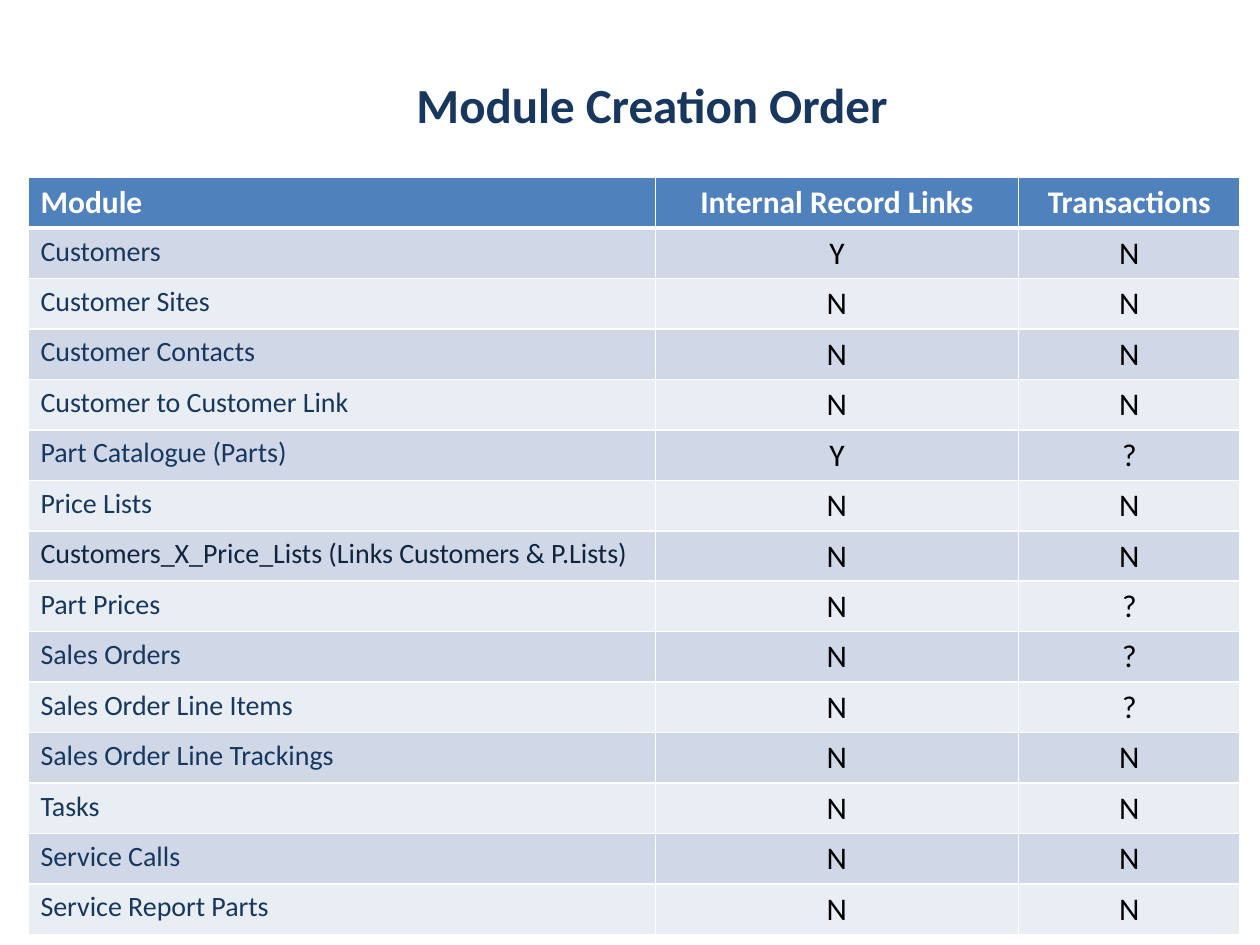
from lxml import etree
from pptx import Presentation
from pptx import util as u
from pptx.dml.color import RGBColor
from pptx.enum import text
from pptx.oxml import ns

COLORS = {
    "navy": "17375E",
    "dark_navy": "0F243E",
    "header": "4F81BD",
    "odd_band": "D0D8E8",
    "even_band": "E9EDF4",
    "white": "FFFFFF",
    "black": "000000",
}

HEADINGS = ("Module", "Internal Record Links", "Transactions")
LINK_MODULE = "Customers_X_Price_Lists (Links Customers & P.Lists)"
MODULES = [
    ("Customers", "Y", "N"),
    ("Customer Sites", "N", "N"),
    ("Customer Contacts", "N", "N"),
    ("Customer to Customer Link", "N", "N"),
    ("Part Catalogue (Parts)", "Y", "?"),
    ("Price Lists", "N", "N"),
    (LINK_MODULE, "N", "N"),
    ("Part Prices", "N", "?"),
    ("Sales Orders", "N", "?"),
    ("Sales Order Line Items", "N", "?"),
    ("Sales Order Line Trackings", "N", "N"),
    ("Tasks", "N", "N"),
    ("Service Calls", "N", "N"),
    ("Service Report Parts", "N", "N"),
]


class SlideStyle:
    font = "Calibri"

    def __init__(self, slide):
        self.slide = slide

    def label(self, paragraph, words, size, color, bold=False, centered=True):
        paragraph.text = words
        paragraph.alignment = text.PP_ALIGN.CENTER if centered else text.PP_ALIGN.LEFT
        paragraph.font.name = self.font
        paragraph.font.size = u.Pt(size)
        paragraph.font.bold = bold
        paragraph.font.color.rgb = RGBColor.from_string(COLORS[color])

    def title(self, words, left, top, width, height):
        heading = self.slide.shapes.add_textbox(
            u.Pt(left), u.Pt(top), u.Pt(width), u.Pt(height)
        ).text_frame
        heading.word_wrap = True
        self.label(heading.paragraphs[0], words, 28, "navy", bold=True)

    def borders(self, cell, bottom):
        properties = cell._tc.get_or_add_tcPr()
        for side, width in (("L", 1), ("R", 1), ("T", 1), ("B", bottom)):
            line = etree.SubElement(properties, ns.qn(f"a:ln{side}"), w=str(int(u.Pt(width))))
            fill = etree.SubElement(line, ns.qn("a:solidFill"))
            etree.SubElement(fill, ns.qn("a:srgbClr"), val=COLORS["white"])

    def cell(self, cell, words, size, color, band, bold, centered, bottom):
        self.label(cell.text_frame.paragraphs[0], words, size, color, bold, centered)
        self.borders(cell, bottom)
        cell.fill.solid()
        cell.fill.fore_color.rgb = RGBColor.from_string(COLORS[band])

    def table(self, headings, modules, left, top, widths, row_height):
        rows = [headings, *modules]
        grid = self.slide.shapes.add_table(
            len(rows), len(widths), u.Pt(left), u.Pt(top),
            u.Pt(sum(widths)), u.Pt(row_height * len(rows)),
        ).table
        for column, width in zip(grid.columns, widths):
            column.width = u.Pt(width)
        for r, row in enumerate(rows):
            grid.rows[r].height = u.Pt(row_height)
            header = r == 0
            band = "header" if header else ("odd_band" if r % 2 else "even_band")
            for c, words in enumerate(row):
                size, color = 18, "black"
                if header:
                    color = "white"
                elif c == 0:
                    size = 16
                    color = "dark_navy" if words == LINK_MODULE else "navy"
                self.cell(grid.cell(r, c), words, size, color, band,
                          bold=header, centered=c > 0,
                          bottom=3 if header else 1)


def main():
    deck = Presentation()
    deck.slide_width, deck.slide_height = u.Pt(720), u.Pt(540)
    page = SlideStyle(deck.slides.add_slide(deck.slide_layouts[6]))
    page.title("Module Creation Order", 200, 39, 345, 41)
    page.table(HEADINGS, MODULES, 16, 101.5, (358.5, 207.5, 126.7), 28.8)
    deck.save("out.pptx")


if __name__ == "__main__":
    main()
